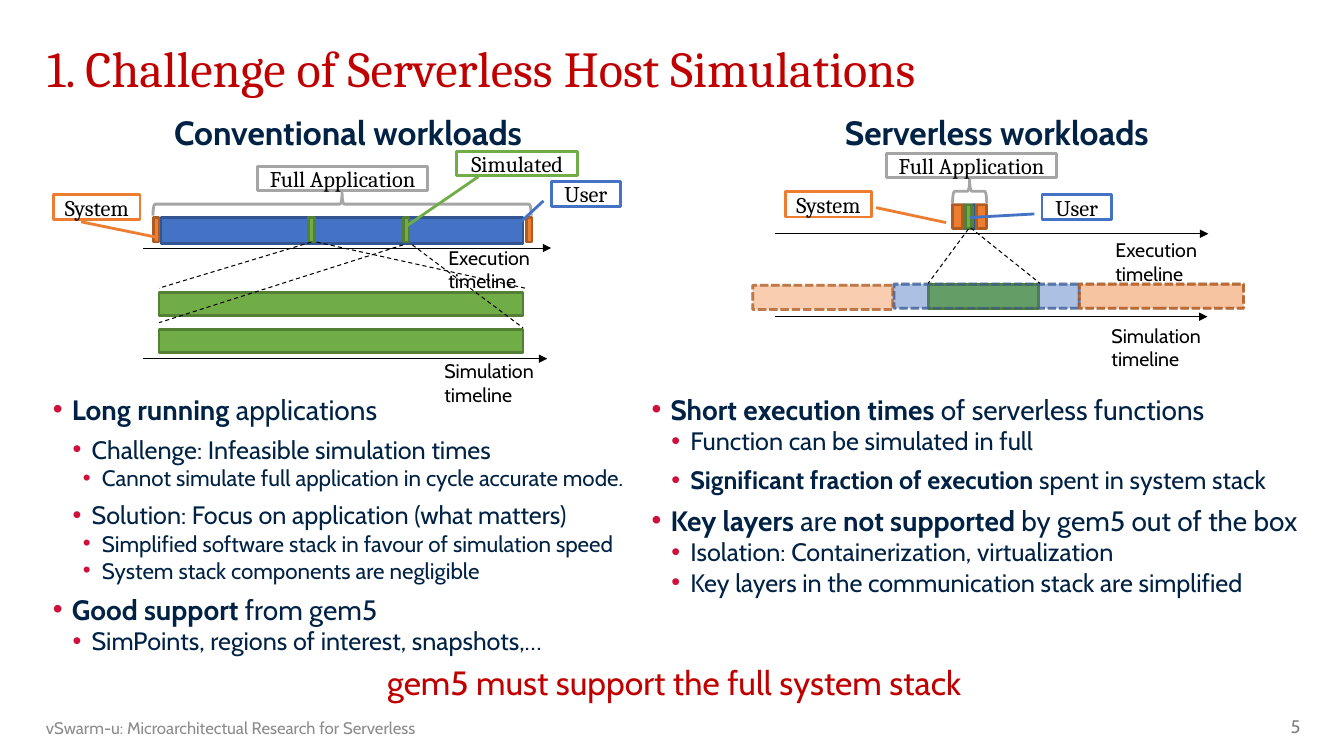
"""Build the slide on the challenge of serverless host simulations."""
import lxml.etree
import pptx
import pptx.dml.color
import pptx.enum.dml
import pptx.enum.shapes
import pptx.enum.text
import pptx.oxml.ns
import pptx.util

Cm = pptx.util.Cm
Pt = pptx.util.Pt
RGB = pptx.dml.color.RGBColor
qn = pptx.oxml.ns.qn
SHAPE = pptx.enum.shapes.MSO_SHAPE
DASH = pptx.enum.dml.MSO_LINE
ALIGN = pptx.enum.text.PP_ALIGN
ANCHOR = pptx.enum.text.MSO_ANCHOR

RED = RGB(0xC0, 0x00, 0x00)
NAVY = RGB(0x00, 0x22, 0x44)
BULLET_RED = RGB(0xCF, 0x10, 0x3A)
BLACK = RGB(0x00, 0x00, 0x00)
WHITE = RGB(0xFF, 0xFF, 0xFF)
GRAY = RGB(0xA5, 0xA5, 0xA5)
NUMBER_GRAY = RGB(0x80, 0x80, 0x80)
FOOTER_GRAY = RGB(0x8C, 0x8C, 0x8C)
BLUE = RGB(0x44, 0x72, 0xC4)
DARK_BLUE = RGB(0x32, 0x54, 0x91)
GREEN = RGB(0x70, 0xAD, 0x47)
DARK_GREEN = RGB(0x53, 0x80, 0x35)
ORANGE = RGB(0xED, 0x7D, 0x31)
DARK_ORANGE = RGB(0xAF, 0x5C, 0x24)
USER = (BLUE, DARK_BLUE)
SIMULATED = (GREEN, DARK_GREEN)
SYSTEM = (ORANGE, DARK_ORANGE)


def write(holder, text, size, font, color, align=ALIGN.LEFT, anchor=ANCHOR.TOP, bold=False):
    frame = holder.text_frame
    frame.word_wrap = True
    frame.auto_size = pptx.enum.text.MSO_AUTO_SIZE.NONE
    frame.vertical_anchor = anchor
    frame.text = text
    paragraph = frame.paragraphs[0]
    paragraph.alignment = align
    paragraph.space_before = Pt(0)
    run_font = paragraph.runs[0].font
    run_font.size, run_font.name, run_font.bold = Pt(size), font, bold
    run_font.color.rgb = color


def draw(kind, box, fill, outline):
    shape = slide.shapes.add_shape(kind, *map(Cm, box))
    shape.shadow.inherit = False
    shape.fill.solid()
    shape.fill.fore_color.rgb = fill
    shape.line.color.rgb = outline
    shape.line.width = Pt(2)
    return shape


deck = pptx.Presentation()
deck.slide_width, deck.slide_height = Cm(33.87), Cm(19.05)
slide = deck.slides.add_slide(deck.slide_layouts[4])
title, left_heading, left_list, right_heading, right_list = slide.placeholders

for holder, box in (
    (title, (0.91, 0.99, 30.43, 1.68)),
    (left_heading, (0.91, 2.67, 15.72, 1.27)),
    (left_list, (0.79, 9.73, 16.15, 7.09)),
    (right_heading, (17.17, 2.67, 15.9, 1.27)),
    (right_list, (15.88, 9.73, 17.75, 5.92)),
):
    holder.left, holder.top, holder.width, holder.height = map(Cm, box)
    frame = holder.text_frame
    frame.margin_left = frame.margin_right = Cm(0.28)
    frame.margin_top = frame.margin_bottom = Cm(0.15)

write(title, "1. Challenge of Serverless Host Simulations", 36, "Cambria", RED, anchor=ANCHOR.MIDDLE)
title.text_frame.paragraphs[0].line_spacing = 0.8
write(left_heading, "Conventional workloads", 24, "Cabin", NAVY, ALIGN.CENTER, bold=True)
write(right_heading, "Serverless workloads", 24, "Cabin", NAVY, ALIGN.CENTER, bold=True)

# level, space before, text with bold parts between asterisks
left_points = (
    (0, 0, "*Long running *applications"),
    (1, 6, "Challenge: Infeasible simulation times"),
    (2, 0, "Cannot simulate full application in cycle accurate mode."),
    (1, 6, "Solution: Focus on application (what matters)"),
    (2, 0, "Simplified software stack in favour of simulation speed"),
    (2, 0, "System stack components are negligible"),
    (0, 6, "*Good support* from gem5"),
    (1, 0, "SimPoints, regions of interest, snapshots,…"),
)
right_points = (
    (0, 0, "*Short execution times *of serverless functions"),
    (1, 0, "Function can be simulated in full"),
    (1, 6, "*Significant fraction of execution *spent in system stack"),
    (0, 6, "*Key layers *are *not supported *by gem5 out of the box"),
    (1, 0, "Isolation: Containerization, virtualization"),
    (1, 0, "Key layers in the communication stack are simplified"),
)
for holder, points in ((left_list, left_points), (right_list, right_points)):
    frame = holder.text_frame
    frame.auto_size = pptx.enum.text.MSO_AUTO_SIZE.NONE
    frame.vertical_anchor = ANCHOR.TOP
    for index, (level, gap, text) in enumerate(points):
        point = frame.add_paragraph() if index else frame.paragraphs[0]
        point.level = level
        properties = point._p.get_or_add_pPr()
        properties.set("marL", str(Cm((0.74, 1.24, 1.5)[level])))
        properties.set("indent", str(Cm(-0.48)))
        bullet_color = lxml.etree.SubElement(properties, qn("a:buClr"))
        lxml.etree.SubElement(bullet_color, qn("a:srgbClr"), val=str(BULLET_RED))
        lxml.etree.SubElement(properties, qn("a:buFont"), typeface="Arial")
        lxml.etree.SubElement(properties, qn("a:buChar"), char="•")
        point.space_before = Pt(gap)
        for part, words in enumerate(text.split("*")):
            if words:
                run = point.add_run()
                run.text = words
                run.font.name, run.font.size = "Cabin", Pt((20, 18, 16)[level])
                run.font.bold = part % 2 == 1
                run.font.color.rgb = NAVY

for text, box, size, color, align, anchor in (
    ("gem5 must support the full system stack", (0.91, 16.56, 32.16, 2.08), 24, RED, ALIGN.CENTER, ANCHOR.TOP),
    ("5", (30.63, 17.91, 2.39, 0.89), 13, NUMBER_GRAY, ALIGN.RIGHT, ANCHOR.TOP),
    ("vSwarm-u: Microarchitectual Research for Serverless", (0.91, 17.83, 11.43, 1.02), 12, FOOTER_GRAY,
     ALIGN.LEFT, ANCHOR.MIDDLE),
    ("Execution timeline", (11.05, 6.07, 4.27, 0.86), 14, BLACK, ALIGN.LEFT, ANCHOR.TOP),
    ("Simulation timeline", (10.95, 8.92, 4.34, 0.86), 14, BLACK, ALIGN.LEFT, ANCHOR.TOP),
    ("Execution timeline", (27.86, 5.87, 4.27, 0.86), 14, BLACK, ALIGN.LEFT, ANCHOR.TOP),
    ("Simulation timeline", (27.76, 8.03, 4.34, 0.86), 14, BLACK, ALIGN.LEFT, ANCHOR.TOP),
):
    write(slide.shapes.add_textbox(*map(Cm, box)), text, size, "Cabin", color, align, anchor)

draw(SHAPE.RECTANGLE, (4.06, 5.49, 9.12, 0.64), *USER)
for top in (7.37, 8.31):
    draw(SHAPE.RECTANGLE, (4.01, top, 9.17, 0.58), *SIMULATED)
first_sample, second_sample = [
    draw(SHAPE.RECTANGLE, (left, 5.49, 0.15, 0.61), *SIMULATED) for left in (7.77, 10.16)]
for left in (3.86, 13.26):
    draw(SHAPE.RECTANGLE, (left, 5.49, 0.15, 0.61), *SYSTEM)

draw(SHAPE.RECTANGLE, (24.28, 5.16, 0.3, 0.61), *USER)
serverless_sample = draw(SHAPE.RECTANGLE, (24.33, 5.16, 0.15, 0.61), *SIMULATED)
for left in (24, 24.61):
    draw(SHAPE.RECTANGLE, (left, 5.16, 0.25, 0.61), *SYSTEM)

for layer in range(2):
    for box, colors, alphas in (
        ((22.53, 7.16, 4.67, 0.61), USER, (25, 50)),
        ((18.97, 7.19, 3.53, 0.61), SYSTEM, (21, 54)),
        ((27.2, 7.16, 4.14, 0.61), SYSTEM, (26, 66)),
    ):
        phase = draw(SHAPE.RECTANGLE, box, *colors)
        phase.line.dash_style = DASH.SQUARE_DOT
        for color, alpha in zip(phase._element.spPr.findall(".//" + qn("a:srgbClr")), alphas):
            lxml.etree.SubElement(color, qn("a:alpha"), val=str(alpha * 1000))
    if layer == 0:
        draw(SHAPE.RECTANGLE, (23.39, 7.16, 2.79, 0.61), *SIMULATED)

for ends, is_axis, sample in (
    ((3.61, 6.25, 13.89, 6.25), True, None),
    ((3.61, 9.04, 13.79, 9.04), True, None),
    ((19.53, 5.89, 30.45, 5.89), True, None),
    ((19.53, 7.98, 30.43, 7.98), True, None),
    ((7.85, 6.1, 4.01, 7.26), False, first_sample),
    ((7.98, 6.1, 13.23, 7.26), False, None),
    ((10.16, 6.17, 4.01, 8.13), False, None),
    ((10.39, 6.17, 13.18, 8.26), False, None),
    ((24.41, 5.77, 23.39, 7.14), False, serverless_sample),
    ((24.46, 5.74, 26.21, 7.14), False, None),
):
    line = slide.shapes.add_connector(pptx.enum.shapes.MSO_CONNECTOR.STRAIGHT, *map(Cm, ends))
    line.line.color.rgb = BLACK
    line.line.width = Pt(0.75)
    if is_axis:
        lxml.etree.SubElement(line.line._get_or_add_ln(), qn("a:tailEnd"), type="triangle")
    else:
        line.line.dash_style = DASH.DASH
    if sample:
        line.begin_connect(sample, 2)
    lxml.etree.SubElement(line._element.spPr, qn("a:effectLst"))

for box in ((8.33, 0.38, 0.58, 9.53), (24.13, 4.39, 0.61, 0.86)):
    draw(SHAPE.LEFT_BRACE, box, WHITE, GRAY).rotation = 90

for text, box, outline, pointer in (
    ("Full Application", (6.5, 4.19, 4.27, 0.61), GRAY, ()),
    ("Full Application", (22.35, 3.86, 4.27, 0.61), GRAY, ()),
    ("Simulated", (11.51, 3.81, 3.05, 0.61), GREEN, (1.053, 0.185, 3.111, -0.424)),
    ("System", (1.35, 4.9, 2.18, 0.64), ORANGE, (1.078, 0.323, 1.701, 1.214)),
    ("System", (19.79, 4.83, 2.18, 0.64), ORANGE, (0.634, 1.049, 1.217, 1.859)),
    ("User", (13.89, 4.57, 1.75, 0.64), BLUE, (0.77, -0.107, 1.728, -0.491)),
    ("User", (26.26, 4.9, 1.75, 0.64), BLUE, (0.77, -0.107, 0.913, -1.037)),
):
    label = draw(SHAPE.LINE_CALLOUT_1 if pointer else SHAPE.RECTANGLE, box, WHITE, outline)
    for index, value in enumerate(pointer):
        label.adjustments[index] = round(value, 2)
    write(label, text, 16, "Cambria", BLACK, ALIGN.CENTER, ANCHOR.MIDDLE)

deck.save("out.pptx")
